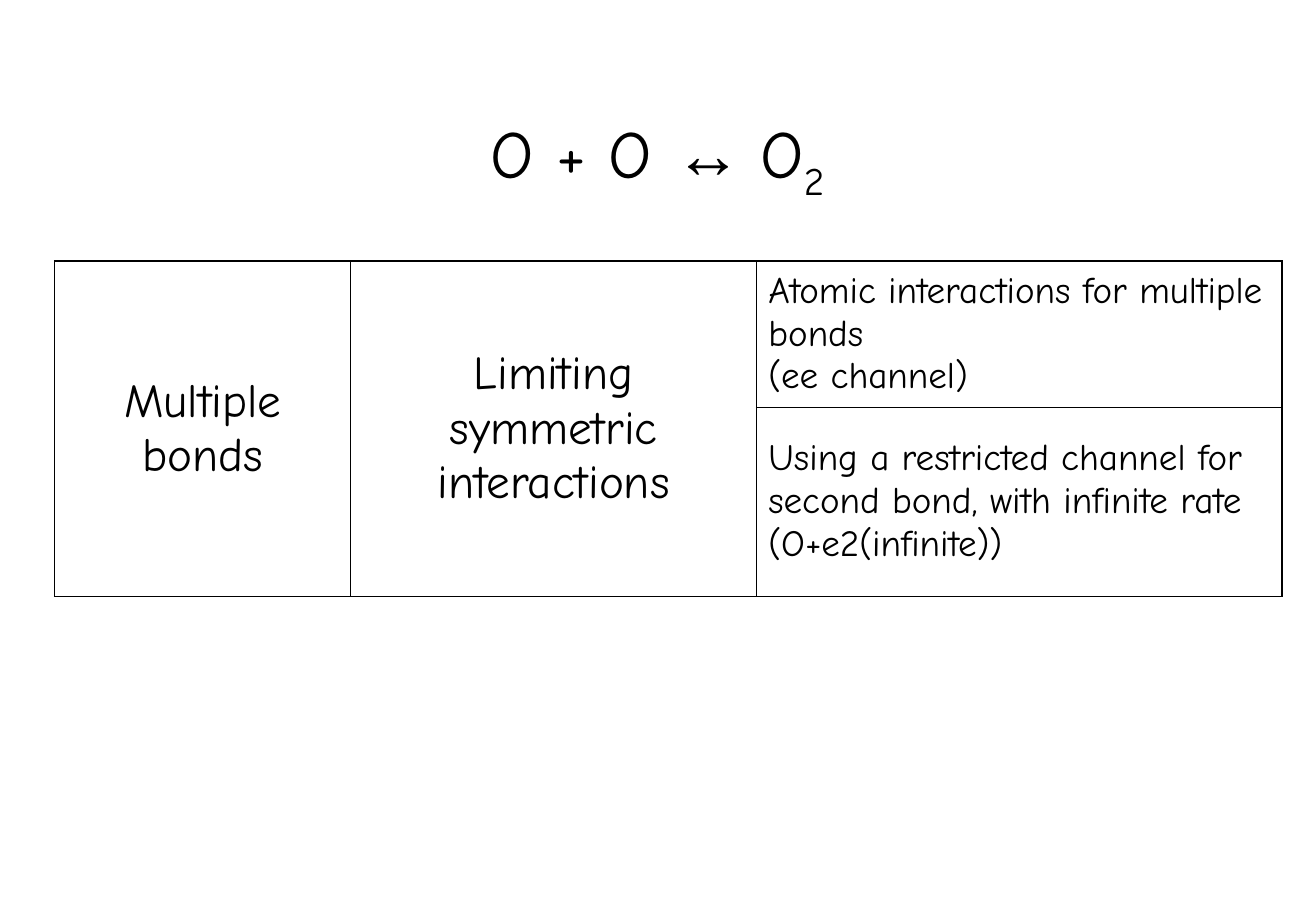
"""Build the slide on multiple bonds: a reaction title above a merged table."""
from pptx import Presentation
from pptx.dml.color import RGBColor
from pptx.enum.text import MSO_ANCHOR, PP_ALIGN
from pptx.oxml import parse_xml
from pptx.oxml.ns import nsdecls
from pptx.util import Inches, Pt

BLACK = RGBColor(0, 0, 0)
FONT = "Comic Neue"
THICK, THIN = Pt(1.08), Pt(0.45)


def set_font(run, size, name=FONT):
    values = {"name": name, "size": Pt(size), "bold": False}
    for key, value in values.items():
        setattr(run.font, key, value)
    run.font.color.rgb = BLACK


def set_border(cell, side, width):
    cell._tc.get_or_add_tcPr().append(parse_xml(
        f'<a:ln{side} {nsdecls("a")} w="{width}"><a:solidFill>'
        f'<a:srgbClr val="{BLACK}"/></a:solidFill></a:ln{side}>'))


prs = Presentation()
prs.slide_width, prs.slide_height = Inches(10.84), Inches(7.5)
s = prs.slides.add_slide(prs.slide_layouts[5])

title = s.shapes.title
title.left, title.top = Inches(0.81), Inches(0.67)
title.width, title.height = Inches(9.21), Inches(1.25)
tf = title.text_frame
tf.vertical_anchor = MSO_ANCHOR.MIDDLE
p = tf.paragraphs[0]
p.alignment = PP_ALIGN.CENTER
for text, name in [("O + O ", FONT), ("↔ ", "Arial"), ("O", FONT), ("2", FONT)]:
    r = p.add_run()
    r.text = text
    set_font(r, 40, name)
r.font._element.set("baseline", "-25000")

col_widths, row_heights = [2.44, 3.34, 4.33], [1.2, 1.56]
table = s.shapes.add_table(
    2, 3, Inches(0.45), Inches(2.15),
    Inches(sum(col_widths)), Inches(sum(row_heights))).table
table.first_row = table.horz_banding = False
for col, width in zip(table.columns, col_widths):
    col.width = Inches(width)
for row, height in zip(table.rows, row_heights):
    row.height = Inches(height)
for c in range(2):
    table.cell(0, c).merge(table.cell(1, c))

for r in range(2):
    for c in range(3):
        cell = table.cell(r, c)
        outer = {"L": c == 0, "R": c == 2, "T": r == 0, "B": r == 1 or c < 2}
        for side, is_outer in outer.items():
            set_border(cell, side, THICK if is_outer else THIN)
        cell.fill.background()

cell_texts = [
    (0, 0, "Multiple bonds", 28, PP_ALIGN.CENTER),
    (0, 1, "Limiting symmetric interactions", 28, PP_ALIGN.CENTER),
    (0, 2, "Atomic interactions for multiple bonds \v(ee channel)", 22, PP_ALIGN.LEFT),
    (1, 2, "Using a restricted channel for second bond, with infinite rate "
           "(O+e2(infinite))", 22, PP_ALIGN.LEFT),
]
for r, c, text, size, align in cell_texts:
    cell = table.cell(r, c)
    cell.vertical_anchor = MSO_ANCHOR.MIDDLE
    p = cell.text_frame.paragraphs[0]
    p.text = text
    p.alignment = align
    for run in p.runs:
        set_font(run, size)

prs.save("out.pptx")
